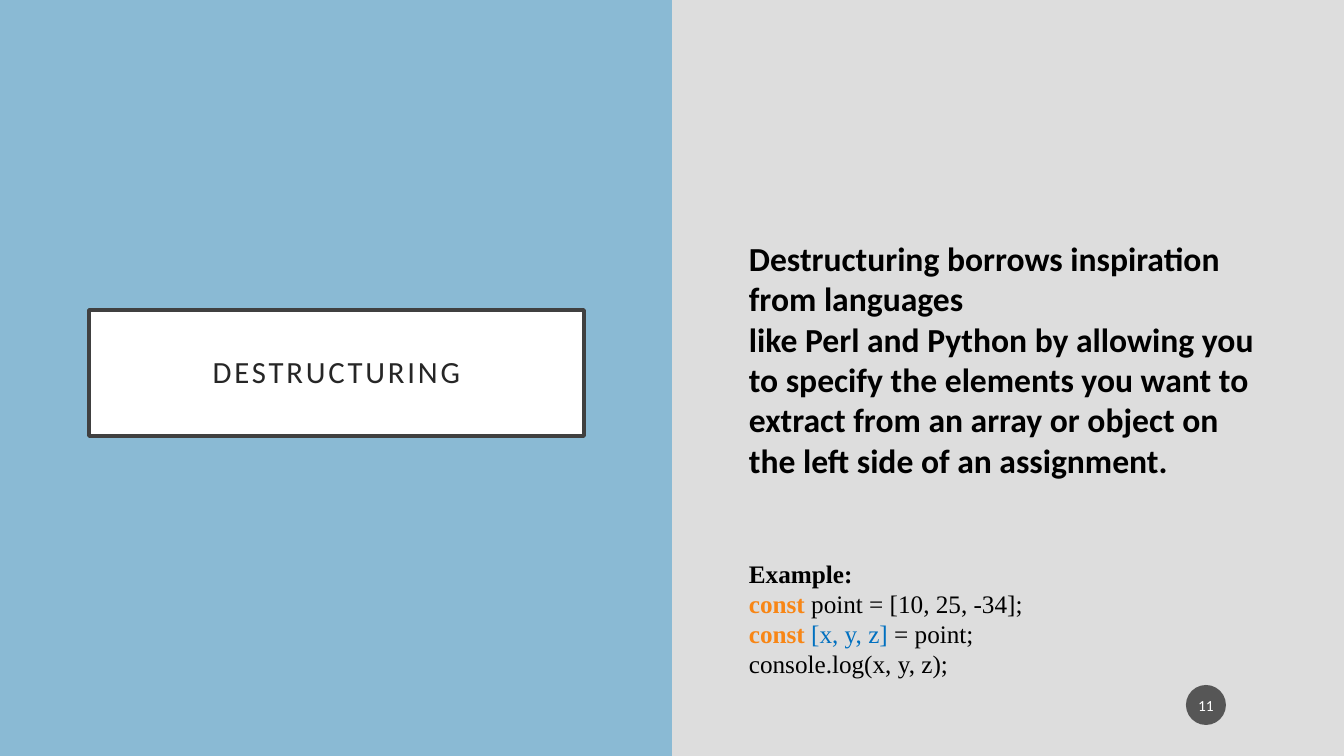
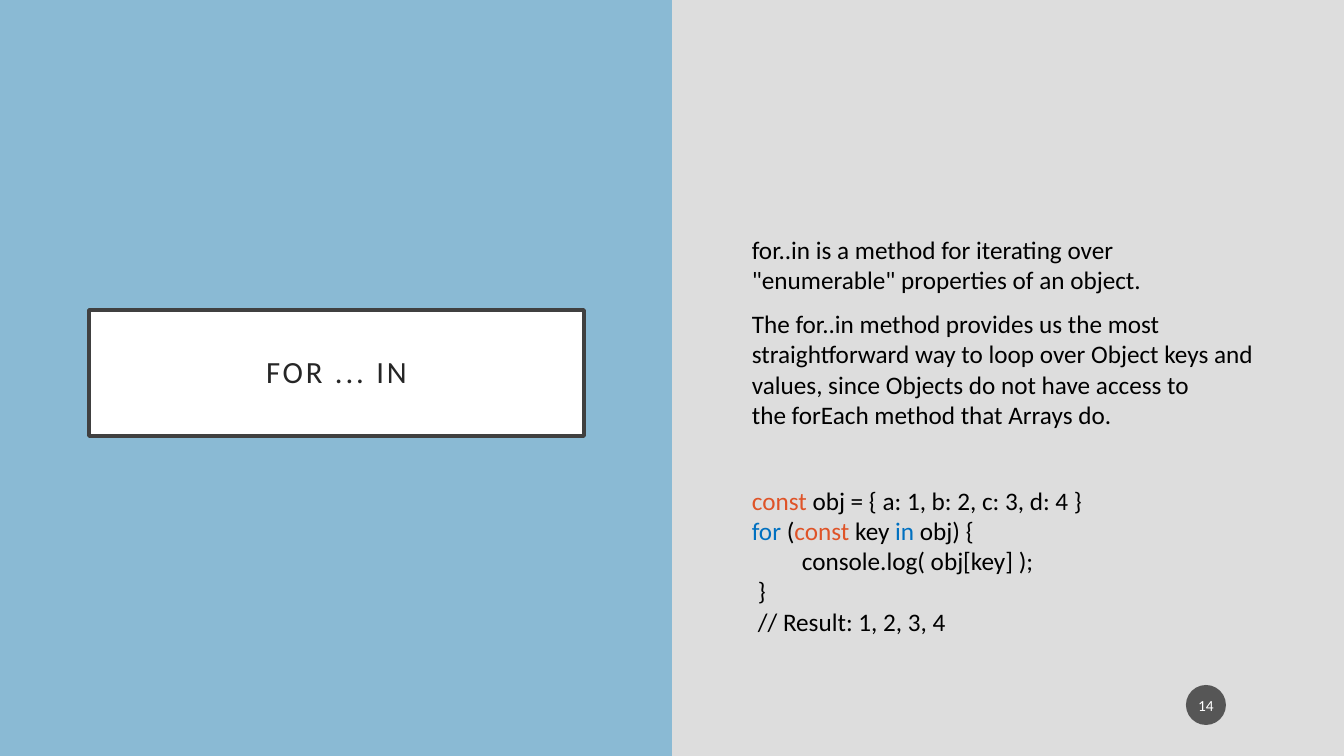
from pptx import Presentation
from pptx import util as u
from pptx.dml.color import RGBColor
from pptx.enum import shapes, text
from pptx.oxml.ns import qn
from lxml import etree

PX = 914400 / 100.8
COLORS = {
    "page": "DDDDDD", "panel": "8ABAD4", "white": "FFFFFF", "frame": "404040",
    "title": "262626", "badge": "1D1D1D", "black": "000000",
    "orange": "F88615", "red": "DF5327", "blue": "0070C0",
}


def px(length):
    return u.Emu(round(length * PX))


def rgb(name):
    return RGBColor.from_string(COLORS[name])


class Deck:
    """Holds the shared style and the current slide."""

    def __init__(self):
        self.prs = Presentation()
        self.prs.slide_width, self.prs.slide_height = px(1344), px(756)
        self.slide = None

    def new_slide(self, title, number):
        self.slide = self.prs.slides.add_slide(self.prs.slide_layouts[6])
        backdrop = self.slide.background.fill
        backdrop.solid()
        backdrop.fore_color.rgb = rgb("page")
        self.block((0, 0, 672, 756), "panel")
        self.title(title)
        self.badge(number)

    def block(self, box, fill, kind=shapes.MSO_SHAPE.RECTANGLE):
        block = self.slide.shapes.add_shape(kind, *map(px, box))
        block.shadow.inherit = False
        block.fill.solid()
        block.fill.fore_color.rgb = rgb(fill)
        block.line.fill.background()
        return block

    def label(self, block, wording, size, color, inset_x, inset_y):
        frame = block.text_frame
        frame.word_wrap = True
        frame.vertical_anchor = text.MSO_ANCHOR.MIDDLE
        frame.margin_left = frame.margin_right = px(inset_x)
        frame.margin_top = frame.margin_bottom = px(inset_y)
        line = frame.paragraphs[0]
        line.alignment = text.PP_ALIGN.CENTER
        self.style(line, size, "Calibri", color)
        run = line.add_run()
        run.text = wording
        return line, run

    def style(self, line, size, font, color="black"):
        line.font.size = u.Pt(size)
        line.font.name = font
        line.font.color.rgb = rgb(color)

    def title(self, wording):
        box = self.block((89, 310, 495, 126), "white")
        box.line.color.rgb = rgb("frame")
        box.line.width = u.Pt(2.5)
        line, run = self.label(box, wording, 22, "title", 20, 20)
        line.line_spacing = 0.9
        run.font._element.set("spc", "200")

    def badge(self, number):
        disc = self.block((1186, 685, 40, 40), "badge", shapes.MSO_SHAPE.OVAL)
        tint = disc._element.spPr.find(qn("a:solidFill"))[0]
        etree.SubElement(tint, qn("a:alpha")).set("val", "70000")
        self.label(disc, str(number), 11, "white", 2, 5)

    def passage(self, box, lines, size=18, font="Calibri", before=0):
        frame = self.slide.shapes.add_textbox(*map(px, box)).text_frame
        frame.word_wrap = True
        for index, (indent, *runs) in enumerate(lines):
            line = frame.add_paragraph() if index else frame.paragraphs[0]
            self.style(line, size, font)
            line.space_before = u.Pt(before)
            if indent:
                line._p.get_or_add_pPr().set("marL", str(px(indent)))
            for wording, color, bold in runs:
                run = line.add_run()
                run.text = wording
                run.font.bold = bold
                run.font.color.rgb = rgb(color)


def plain(wording, indent=0):
    return indent, (wording, "black", False)


deck = Deck()

deck.new_slide("DESTRUCTURING", 11)
deck.passage((739, 233, 531, 351), [
    (0, ("Destructuring\u00a0borrows inspiration from languages "
         "like\u00a0Perl\u00a0and\u00a0Python\u00a0by allowing you to specify the "
         "elements you want to extract from an array or object\u00a0on the left "
         "side of an assignment.", "black", True)),
], size=24, before=10)
const = ("const ", "orange", True)
deck.passage((739, 553, 409, 132), [
    (0, ("Example:", "black", True)),
    (0, const, ("point = [10, 25, -34];", "black", False)),
    (0, const, ("[x, y, z] ", "blue", False), ("= point;", "black", False)),
    plain("console.log(x, y, z);"),
], font="Times New Roman")

deck.new_slide("FOR ... IN", 14)
deck.passage((742, 229, 531, 351), [
    plain("for..in\u00a0is a method for iterating over \"enumerable\" "
          "properties of an object."),
    plain("The\u00a0for..in\u00a0method provides us the most straightforward way "
          "to loop over Object keys and values, since Objects do not have access "
          "to the\u00a0forEach\u00a0method that Arrays do."),
], before=10)
const = ("const ", "red", False)
deck.passage((742, 480, 451, 163), [
    (0, const, ("obj = { a: 1, b: 2, c: 3, d: 4 }", "black", False)),
    (0, ("for ", "blue", False), ("(", "black", False), const,
     ("key ", "black", False), ("in ", "blue", False), ("obj) {", "black", False)),
    plain("console.log( obj[key] );", 50),
    plain("}", 6),
    plain("// Result: 1, 2, 3, 4", 6),
])

deck.prs.save("out.pptx")
